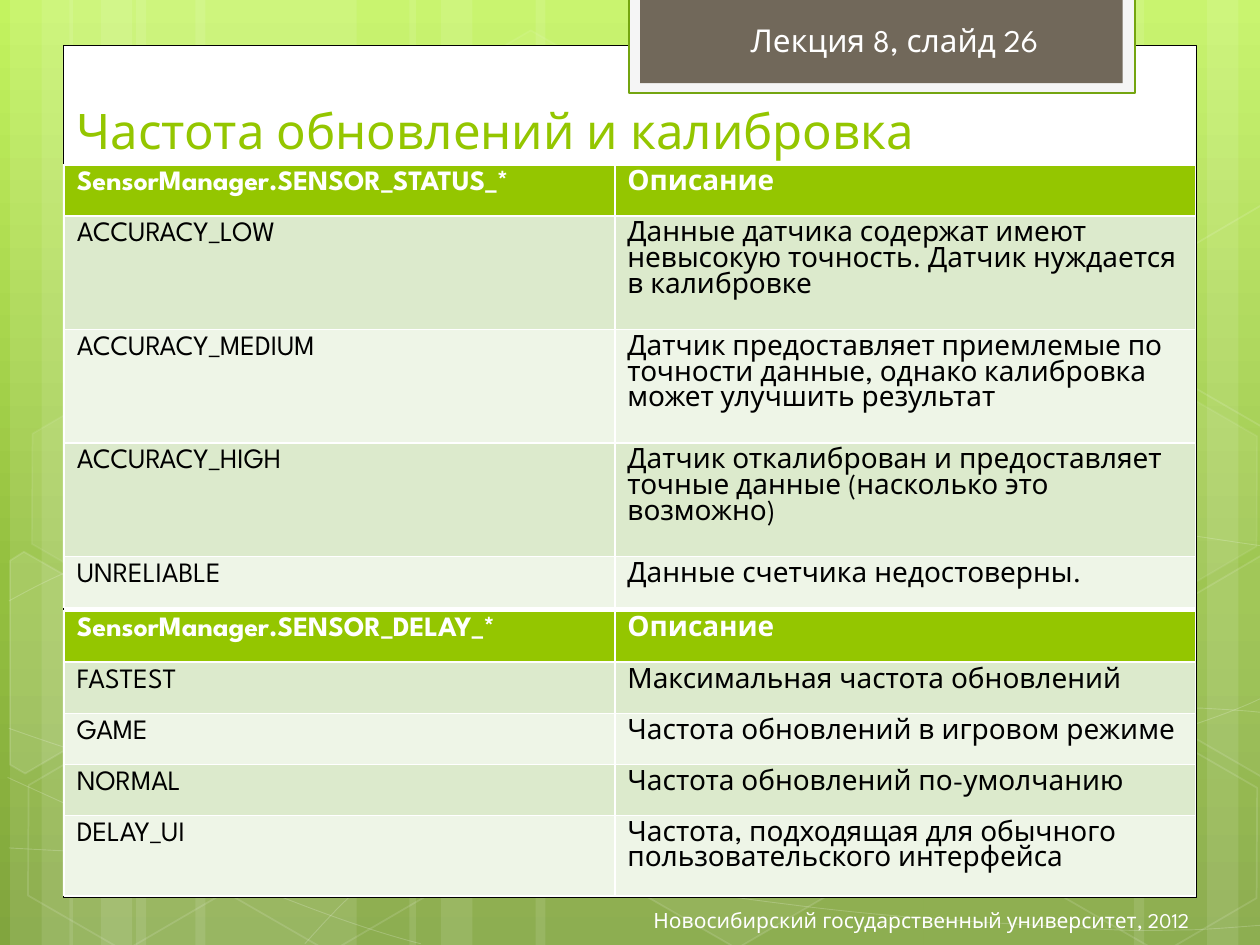
from lxml.etree import SubElement
from pptx import Presentation
from pptx.dml.color import RGBColor
from pptx.enum.shapes import MSO_SHAPE
from pptx.enum.text import MSO_ANCHOR, MSO_AUTO_SIZE, PP_ALIGN
from pptx.oxml.ns import qn
from pptx.util import Inches, Pt

WIDE, HIGH = 10, 7.5
FONT = "League Spartan"
HUES = {"white": "FFFFFF", "black": "000000", "lime": "94C600", "edge": "74A510",
        "pale": "F5F5F5", "brown": "71685A", "odd": "DCEACC", "even": "EEF5E7"}
SKY = [(0, "C3F35F"), (62, "93BF3F"), (100, "81A53E")]

# left, width of the full-height stripes
BARS = [(1.08, 1.75), (0.08, 0.5), (0.33, 0.83), (1.55, 1.75), (0.55, 0.5), (0.8, 0.83),
        (7.33, 1.75), (9.58, 0.5), (9, 0.83), (4.25, 3.08), (3.25, 0.5), (3.5, 0.83)]

# start point, then Bezier triples
WAVES = [
    [(0.07, 6.73), (0.61, 6.76), (1.15, 6.79), (1.9, 6.78), (2.65, 6.77), (3.58, 6.75),
     (4.58, 6.65), (5.58, 6.55), (7, 6.36), (7.92, 6.17), (8.83, 5.98), (9.77, 5.68),
     (10.07, 5.51)],
    [(0.07, 4.77), (0.36, 4.61), (0.65, 4.46), (1.21, 4.31), (1.78, 4.16), (2.59, 3.94),
     (3.47, 3.87), (4.36, 3.8), (5.44, 3.79), (6.54, 3.87), (7.64, 3.95), (9.47, 4.26),
     (10.07, 4.34)],
    [(0.06, 6.17), (1.27, 6.72), (2.47, 7.27), (3.34, 7.49)],
    [(0.07, 5.78), (0.38, 5.89), (0.7, 6), (1.28, 6.16), (1.86, 6.31), (2.73, 6.56),
     (3.57, 6.73), (4.4, 6.9), (5.45, 7.08), (6.28, 7.18), (7.11, 7.29), (8, 7.33),
     (8.53, 7.36), (9.05, 7.4), (9.19, 7.38), (9.45, 7.38), (9.71, 7.37), (9.89, 7.35),
     (10.07, 7.34)],
    [(2.42, 7.49), (2.6, 7.29), (2.78, 7.09), (3.02, 6.91), (3.26, 6.73), (3.6, 6.53),
     (3.88, 6.39), (4.16, 6.25), (4.33, 6.19), (4.7, 6.09), (5.06, 5.99), (5.73, 5.85),
     (6.08, 5.78), (6.44, 5.71), (6.49, 5.71), (6.8, 5.69), (7.11, 5.66), (7.6, 5.63),
     (7.94, 5.62), (8.29, 5.61), (8.86, 5.62), (8.86, 5.62), (9.08, 5.62), (9.3, 5.62),
     (9.53, 5.62), (9.71, 5.63), (9.88, 5.64), (9.97, 5.65), (10.06, 5.66), (10.03, 5.65),
     (10.06, 5.66)],
]

# left, top, fill opacity, line opacity
CELLS = [(3.34, 0.36, 4, 8), (4.97, 5.89, 6, 12), (0.11, 5.91, 0, 12), (0.14, 3.12, 7, 8),
         (1.74, 5.92, 0, 12), (7.53, 4.53, 10, 12), (8.34, 5.93, 0, 12), (8.34, 3.14, 7, 8)]
# cut hexagons at the slide's sides: points, fill opacity
CUTS = [
    ([(0.08, 4.45), (0.19, 4.38), (0.96, 4.82), (0.95, 5.7), (0.2, 6.14), (0.08, 6.07)], 10),
    ([(9.26, 4.85), (10.01, 4.41), (10.09, 4.46), (10.09, 6.13), (10.02, 6.17),
      (9.26, 5.73)], 4),
    ([(9.26, 2.07), (10.01, 1.63), (10.1, 1.68), (10.09, 3.35), (10.02, 3.39),
      (9.26, 2.95)], 0),
]

# box, fill, line colour, line width
PANELS = [((0.5, 0.36, 9, 6.76), "white", "black", 0.5),
          ((4.99, -0.02, 4.02, 0.76), "pale", "edge", 1.25),
          ((5.08, -0.02, 3.83, 0.68), "brown", None, 0)]

# text, box, size, colour, alignment, frame format
TEXTS = [
    ("Частота обновлений и калибровка", (0.51, 0.52, 8.58, 0.79), 28, "lime", PP_ALIGN.LEFT,
     {"word_wrap": True, "vertical_anchor": MSO_ANCHOR.BOTTOM}),
    ("Лекция 8, слайд 26", (5.86, 0.12, 2.59, 0.4), 18, "white", PP_ALIGN.LEFT,
     {"word_wrap": False, "auto_size": MSO_AUTO_SIZE.SHAPE_TO_FIT_TEXT}),
    ("Новосибирский государственный университет, 2012", (3.11, 7.1, 6.43, 0.4), 12, "white",
     PP_ALIGN.RIGHT, {"word_wrap": True, "vertical_anchor": MSO_ANCHOR.MIDDLE}),
]

COLS = (4.37, 4.61)
# row heights in points
ONE, TWO, THREE = 29.2, 45.4, 64.6
# top, row heights, rows
TABLES = [
    (1.31, (ONE, THREE, THREE, THREE, ONE), [
        ("SensorManager.SENSOR_STATUS_*", "Описание"),
        ("ACCURACY_LOW", "Данные датчика содержат имеют невысокую точность. "
                         "Датчик нуждается в калибровке"),
        ("ACCURACY_MEDIUM", "Датчик предоставляет приемлемые по точности данные, "
                            "однако калибровка может улучшить результат"),
        ("ACCURACY_HIGH", "Датчик откалиброван и предоставляет точные данные "
                          "(насколько это возможно)"),
        ("UNRELIABLE", "Данные счетчика недостоверны.")]),
    (4.85, (ONE, ONE, ONE, ONE, TWO), [
        ("SensorManager.SENSOR_DELAY_*", "Описание"),
        ("FASTEST", "Максимальная частота обновлений"),
        ("GAME", "Частота обновлений в игровом режиме"),
        ("NORMAL", "Частота обновлений по-умолчанию"),
        ("DELAY_UI", "Частота, подходящая для обычного пользовательского интерфейса")]),
]


def tint(fill, hue, part=100):
    """Fill with a colour at an opacity in percent; zero means no fill."""
    if not part:
        fill.background()
        return
    fill.solid()
    fill.fore_color.rgb = RGBColor.from_string(HUES[hue])
    if part < 100:
        node = fill._xPr.find(qn("a:solidFill"))[0]
        SubElement(node, qn("a:alpha"), val=str(part * 1000))


def style(shape, hue, part=100, edge=None, width=0, clear=100):
    shape.shadow.inherit = False
    tint(shape.fill, hue, part)
    tint(shape.line.fill, edge, clear if edge else 0)
    if edge:
        shape.line.width = Pt(width)


def place(slide, kind, box):
    return slide.shapes.add_shape(kind, *map(Inches, box))


def trace(slide, points, close):
    first, *rest = [tuple(map(Inches, point)) for point in points]
    pen = slide.shapes.build_freeform(*first)
    pen.add_line_segments(rest, close=close)
    return pen.convert_to_shape()


def curve(slide, knots):
    """Draw a chain of cubic Bezier curves, three knots to each."""
    shape = trace(slide, knots, False)
    track = shape._element.find(".//" + qn("a:path"))
    lines = track.findall(qn("a:lnTo"))
    for i in range(0, len(lines), 3):
        bend = SubElement(track, qn("a:cubicBezTo"))
        for line in lines[i:i + 3]:
            bend.append(line[0])
            track.remove(line)
    return shape


def write(frame, text, size, hue, bold=False):
    line = frame.paragraphs[0]
    run = line.add_run()
    run.text = text
    for key, value in {"name": FONT, "size": Pt(size), "bold": bold}.items():
        setattr(run.font, key, value)
    run.font.color.rgb = RGBColor.from_string(HUES[hue])
    return line


def backdrop(slide):
    slide.background.fill.gradient()
    stops = slide._element.find(".//" + qn("a:gsLst"))
    stops.getnext().set("ang", "5400000")
    for old in list(stops):
        stops.remove(old)
    for spot, hue in SKY:
        stop = SubElement(stops, qn("a:gs"), pos=str(spot * 1000))
        SubElement(stop, qn("a:srgbClr"), val=hue)
    for left, width in BARS:
        style(place(slide, MSO_SHAPE.RECTANGLE, (left, 0, width, HIGH)), "white", 10)
    for knots in WAVES:
        style(curve(slide, knots), "white", 0, "white", 0.5, 20)
    for left, top, part, clear in CELLS:
        hexa = place(slide, MSO_SHAPE.HEXAGON, (left, top, 1.75, 1.52))
        hexa.rotation = 30
        hexa.adjustments[0] = 0.285
        style(hexa, "white", part, "white", 1, clear)
    for points, part in CUTS:
        style(trace(slide, points, True), "white", part, "white", 1, 12)


def list_rows(slide, top, highs, rows):
    """Add one table of constants; its built-in style rules the white borders."""
    spot = map(Inches, (0.51, top, sum(COLS)))
    grid = slide.shapes.add_table(len(rows), len(COLS), *spot, Pt(sum(highs))).table
    for col, width in zip(grid.columns, COLS):
        col.width = Inches(width)
    for r, (high, row) in enumerate(zip(highs, rows)):
        grid.rows[r].height = Pt(high)
        head = r == 0
        for c, text in enumerate(row):
            cell = grid.cell(r, c)
            tint(cell.fill, "lime" if head else "odd" if r % 2 else "even")
            write(cell.text_frame, text, 16, "white" if head else "black", head)


def main():
    deck = Presentation()
    deck.slide_width, deck.slide_height = Inches(WIDE), Inches(HIGH)
    slide = deck.slides.add_slide(deck.slide_layouts[6])
    backdrop(slide)
    for box, hue, edge, width in PANELS:
        style(place(slide, MSO_SHAPE.RECTANGLE, box), hue, 100, edge, width)
    for text, box, size, hue, align, look in TEXTS:
        frame = slide.shapes.add_textbox(*map(Inches, box)).text_frame
        for key, value in look.items():
            setattr(frame, key, value)
        write(frame, text, size, hue).alignment = align
    for table in TABLES:
        list_rows(slide, *table)
    deck.save("out.pptx")


if __name__ == "__main__":
    main()
